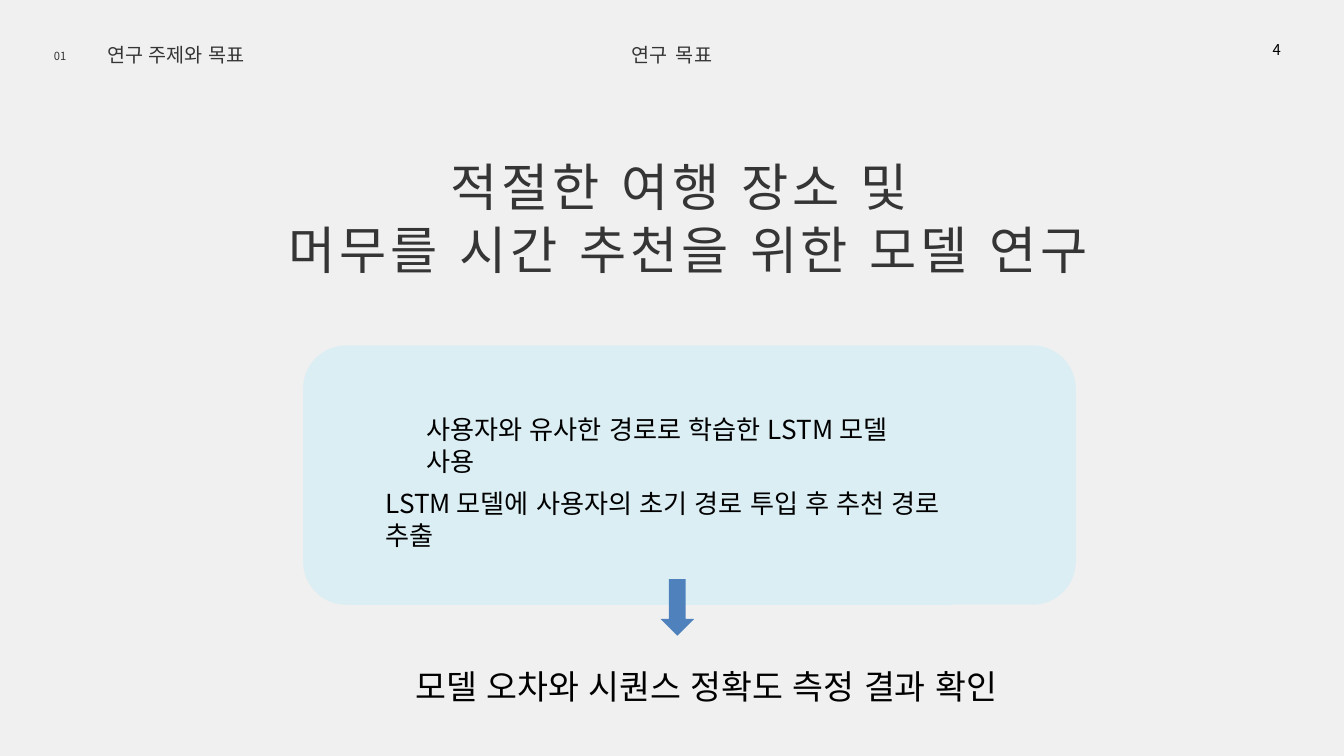
from pptx import Presentation, util as u
from pptx.dml.color import RGBColor
from pptx.enum import shapes, text
from pptx.oxml.ns import qn
from lxml import etree

BACKGROUND = RGBColor(0xF0, 0xF0, 0xF0)
DARK = RGBColor(0x35, 0x35, 0x35)
BLACK = RGBColor(0, 0, 0)
PANEL = RGBColor(0xDB, 0xEE, 0xF4)
ARROW = RGBColor(0x4F, 0x81, 0xBD)
FONT = "Noto Sans CJK KR"
LINE_HEIGHT = 1.22
LEFT, CENTER, RIGHT = (text.PP_ALIGN.LEFT, text.PP_ALIGN.CENTER,
                       text.PP_ALIGN.RIGHT)
TOP, MIDDLE = text.MSO_ANCHOR.TOP, text.MSO_ANCHOR.MIDDLE


def inches(box):
    return [u.Inches(v) for v in box]


def write(sp, lines, size, color, align=LEFT, anchor=TOP, spacing=0):
    tf = sp.text_frame
    tf.word_wrap = True
    tf.auto_size = text.MSO_AUTO_SIZE.NONE
    tf.vertical_anchor = anchor
    tf.text = lines
    for p in tf.paragraphs:
        p.alignment = align
        p.line_spacing = u.Pt(size * LINE_HEIGHT)
        for r in p.runs:
            r.font.size = u.Pt(size)
            r.font.name = FONT
            r.font.color.rgb = color
            rPr = r._r.get_or_add_rPr()
            rPr.set("lang", "ko-KR")
            if spacing:
                rPr.set("spc", str(spacing * 100))
            etree.SubElement(rPr, qn("a:ea")).set("typeface", FONT)


def add_text(s, box, *args, **kwargs):
    write(s.shapes.add_textbox(*inches(box)), *args, **kwargs)


def add_block(s, kind, box, color):
    sp = s.shapes.add_shape(kind, *inches(box))
    sp.shadow.inherit = False
    sp.fill.solid()
    sp.fill.fore_color.rgb = color
    sp.line.fill.background()


def add_title(s, box):
    sp = s.shapes.title
    sp.left, sp.top, sp.width, sp.height = inches(box)
    write(sp, "적절한 여행 장소 및 \n머무를 시간 추천을 위한 모델 연구",
          55, DARK, CENTER, MIDDLE, spacing=4)


def add_header(s, box):
    x, y, w, h = box
    add_text(s, (x + 0.83, y, 3.98, h), "연구 주제와 목표", 21, DARK,
             anchor=MIDDLE)
    add_text(s, (x, y + 0.09, 0.45, 0.3), "01", 12, DARK, CENTER, MIDDLE)
    add_text(s, (x + 6.38, y, 5.89, h), "연구 목표", 21, DARK, CENTER,
             MIDDLE, spacing=1)
    add_text(s, (x + w - 2.33, y - 0.05, 2.33, 0.4), "4", 16, BLACK, RIGHT,
             MIDDLE)


def add_method(s, box):
    x, y, w, h = box
    add_block(s, shapes.MSO_SHAPE.ROUNDED_RECTANGLE, box, PANEL)
    add_text(s, (x + 1.74, y + 0.95, 7.67, 0.57),
             "사용자와 유사한 경로로 학습한 LSTM 모델 사용", 28, BLACK)
    add_text(s, (x + 1.13, y + 2.06, 8.9, 0.57),
             "LSTM 모델에 사용자의 초기 경로 투입 후 추천 경로 추출", 28, BLACK)


def add_result(s, box):
    x, y, w, h = box
    add_text(s, (x, y + 1.23, w, h - 1.23),
             "모델 오차와 시퀀스 정확도 측정 결과 확인", 36, BLACK)
    add_block(s, shapes.MSO_SHAPE.DOWN_ARROW, (x + 3.75, y, 0.5, 0.84), ARROW)


def main():
    prs = Presentation()
    prs.slide_width, prs.slide_height = u.Inches(20), u.Inches(11.25)
    s = prs.slides.add_slide(prs.slide_layouts[5])
    s.background.fill.solid()
    s.background.fill.fore_color.rgb = BACKGROUND
    add_title(s, (1.01, 2.25, 18.48, 1.95))
    add_header(s, (0.67, 0.59, 18.49, 0.45))
    add_method(s, (4.51, 5.14, 11.5, 3.86))
    add_result(s, (6.08, 8.62, 9.41, 1.94))
    prs.save("out.pptx")


if __name__ == "__main__":
    main()
